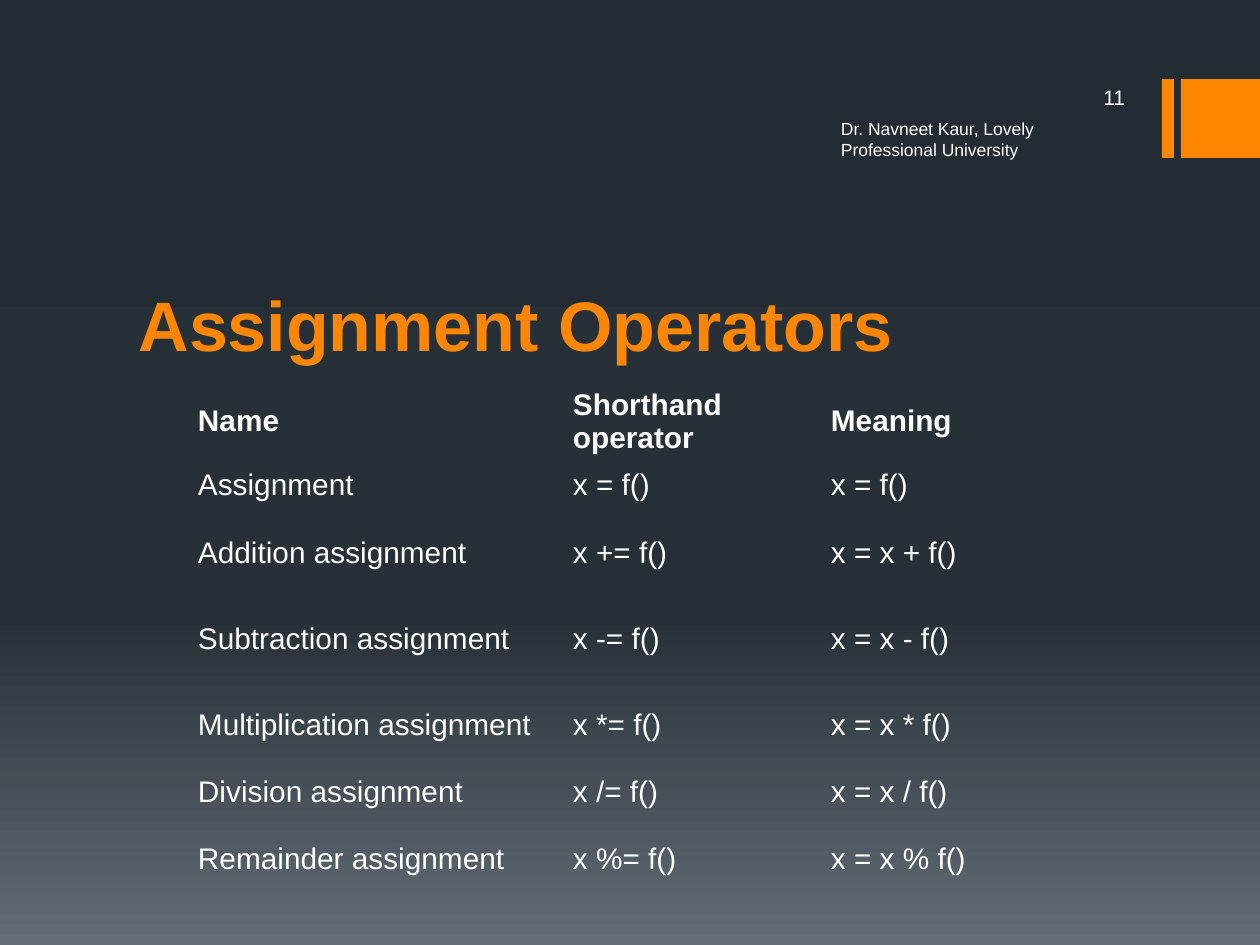
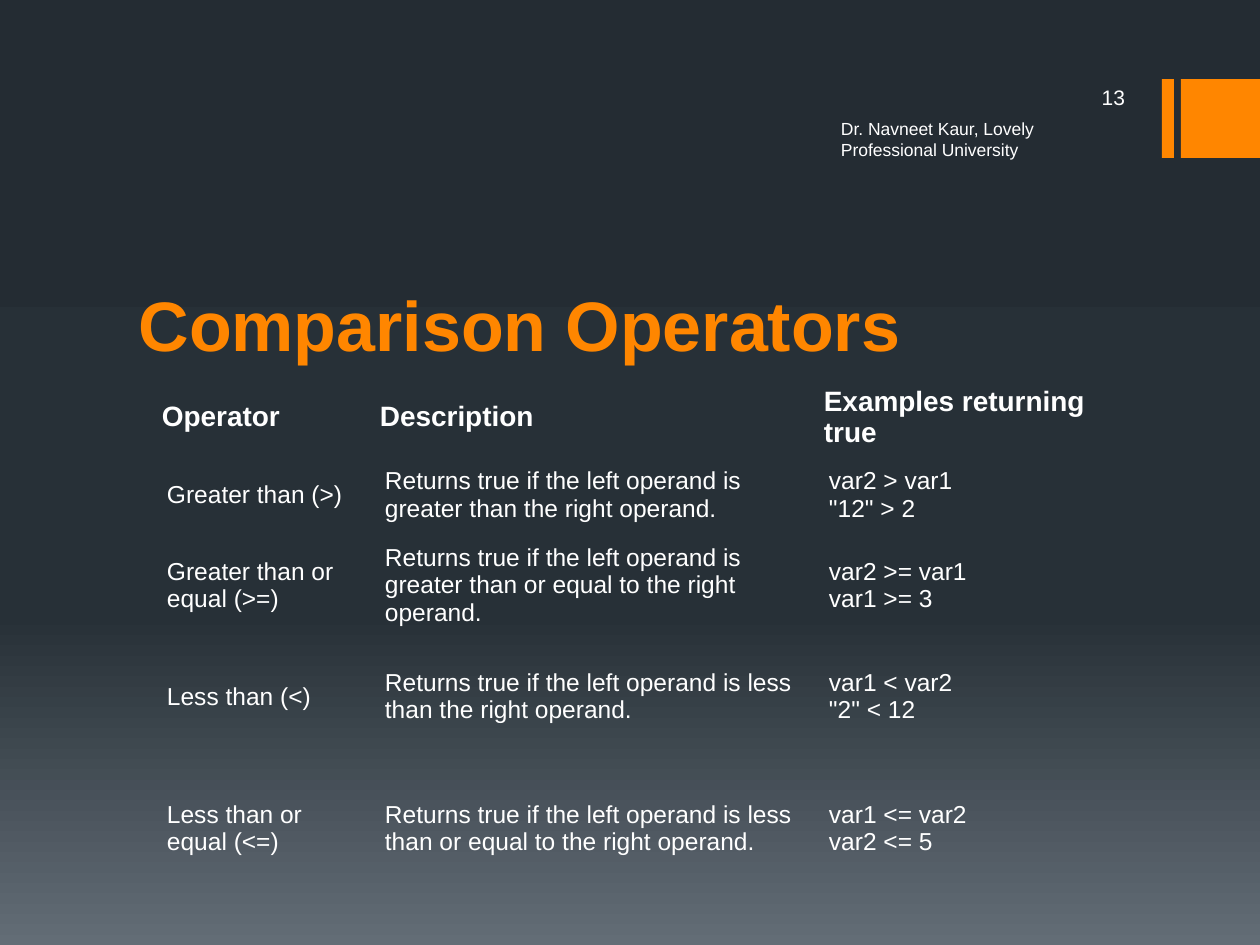
from copy import deepcopy

from pptx import Presentation
from pptx import util as u
from pptx.dml.color import RGBColor
from pptx.enum import shapes, text
from pptx.oxml.ns import qn

PX = u.Inches(1) / 126
FONT = "Arial"
ORANGE, WHITE = "FF8600", "FFFFFF"
BACKDROP = [(0, "242C33"), (0.65, "273037"), (1, "636D76")]
PLAIN_TABLE_STYLE = "{2D5ABB26-0587-4C30-8999-92F81FD0307C}"
AUTHOR = "Dr. Navneet Kaur, Lovely Professional University"

TITLE_BOX = (126, 213, 1008, 159)
AUTHOR_BOX = (828, 118, 310, 42)
NUMBER_BOX = (1008, 76, 130, 42)
ACCENT_BOX = (1162, 79, 98, 79)
WIDE_INSETS = (13, 6, 13, 6)
TIGHT_INSETS = (8, 4, 8, 4)

ASSIGNMENT_ROWS = [
    ("Name", "Shorthand operator", "Meaning"),
    ("Assignment", "x = f()", "x = f()"),
    ("Addition assignment", "x += f()", "x = x + f()"),
    ("Subtraction assignment", "x -= f()", "x = x - f()"),
    ("Multiplication assignment", "x *= f()", "x = x * f()"),
    ("Division assignment", "x /= f()", "x = x / f()"),
    ("Remainder assignment", "x %= f()", "x = x % f()"),
]
COMPARISON_ROWS = [
    ("Operator", "Description", "Examples returning true"),
    ("Greater than (>)",
     "Returns true if the left operand is greater than the right operand.",
     'var2 > var1\n"12" > 2'),
    ("Greater than or equal (>=)",
     "Returns true if the left operand is greater than or equal to the right operand.",
     "var2 >= var1\nvar1 >= 3"),
    ("Less than (<)",
     "Returns true if the left operand is less than the right operand.",
     'var1 < var2\n"2" < 12'),
    ("Less than or equal (<=)",
     "Returns true if the left operand is less than or equal to the right operand.",
     "var1 <= var2\nvar2 <= 5"),
]


def px(*lengths):
    return [u.Emu(round(n * PX)) for n in lengths]


def colour(hex_string):
    return RGBColor.from_string(hex_string)


def set_insets(holder, insets):
    (holder.margin_left, holder.margin_top,
     holder.margin_right, holder.margin_bottom) = px(*insets)


def write(frame, content, size, hex_string=WHITE, bold=False,
          align=text.PP_ALIGN.LEFT):
    """Fill the first paragraph, turning each newline into a line break."""
    paragraph = frame.paragraphs[0]
    paragraph.alignment = align
    for i, line in enumerate(content.split("\n")):
        if i:
            paragraph.add_line_break()
        run = paragraph.add_run()
        run.text = line
        run.font.name = FONT
        run.font.size = u.Pt(size)
        run.font.bold = bold
        run.font.color.rgb = colour(hex_string)


def paint_backdrop(master):
    fill = master.background.fill
    fill.gradient()
    fill.gradient_angle = 270
    stop_list = master.element.find(".//" + qn("a:gsLst"))
    stop_list.append(deepcopy(stop_list[-1]))
    for stop, (position, hex_string) in zip(fill.gradient_stops, BACKDROP):
        stop.position = position
        stop.color.rgb = colour(hex_string)


def add_accent(slide, box):
    """Draw a thin bar and a square that closes the box on the right."""
    left, top, width, height = box
    for x, bar_width in ((left, 12), (left + width - height, height)):
        bar = slide.shapes.add_shape(shapes.MSO_SHAPE.RECTANGLE,
                                     *px(x, top, bar_width, height))
        bar.shadow.inherit = False
        bar.fill.solid()
        bar.fill.fore_color.rgb = colour(ORANGE)
        bar.line.fill.background()


def add_title(slide, box, content):
    title = slide.shapes.title
    title.left, title.top, title.width, title.height = px(*box)
    frame = title.text_frame
    frame.auto_size = text.MSO_AUTO_SIZE.NONE
    frame.vertical_anchor = text.MSO_ANCHOR.BOTTOM
    write(frame, content, 40, ORANGE, bold=True)


def add_label(slide, box, content, size, insets=WIDE_INSETS,
              anchor=text.MSO_ANCHOR.TOP, align=text.PP_ALIGN.LEFT):
    frame = slide.shapes.add_textbox(*px(*box)).text_frame
    frame.word_wrap = True
    frame.vertical_anchor = anchor
    set_insets(frame, insets)
    write(frame, content, size, align=align)


def add_operator_table(slide, origin, widths, heights, rows,
                       header_size, body_size, header_insets):
    frame = slide.shapes.add_table(
        len(rows), len(widths), *px(*origin, sum(widths), sum(heights)))
    table = frame.table
    table.first_row = table.horz_banding = False
    frame.element.find(".//" + qn("a:tableStyleId")).text = PLAIN_TABLE_STYLE
    for column, width in zip(table.columns, px(*widths)):
        column.width = width
    for row, height in zip(table.rows, px(*heights)):
        row.height = height
    for r, entries in enumerate(rows):
        is_header = r == 0
        for c, entry in enumerate(entries):
            cell = table.cell(r, c)
            cell.fill.background()
            cell.vertical_anchor = text.MSO_ANCHOR.MIDDLE
            set_insets(cell, header_insets if is_header else WIDE_INSETS)
            write(cell.text_frame, entry,
                  header_size if is_header else body_size, bold=is_header)


def add_operator_slide(prs, title, number, **table):
    slide = prs.slides.add_slide(prs.slide_layouts.get_by_name("Title Only"))
    add_accent(slide, ACCENT_BOX)
    add_title(slide, TITLE_BOX, title)
    add_operator_table(slide, **table)
    add_label(slide, AUTHOR_BOX, AUTHOR, 10, insets=(13, 0, 13, 6))
    add_label(slide, NUMBER_BOX, number, 12,
              anchor=text.MSO_ANCHOR.MIDDLE, align=text.PP_ALIGN.RIGHT)


def main():
    prs = Presentation()
    prs.slide_width, prs.slide_height = px(1260, 945)
    paint_backdrop(prs.slide_master)
    add_operator_slide(
        prs, "Assignment Operators", "11",
        origin=(185, 382), widths=(375, 258, 256),
        heights=(49, 49, 86, 86, 86, 49, 86), rows=ASSIGNMENT_ROWS,
        header_size=17, body_size=17, header_insets=WIDE_INSETS)
    add_operator_slide(
        prs, "Comparison Operators", "13",
        origin=(154, 382), widths=(218, 444, 330),
        heights=(59, 86, 86, 128, 136), rows=COMPARISON_ROWS,
        header_size=16, body_size=14, header_insets=TIGHT_INSETS)
    prs.save("out.pptx")


if __name__ == "__main__":
    main()
